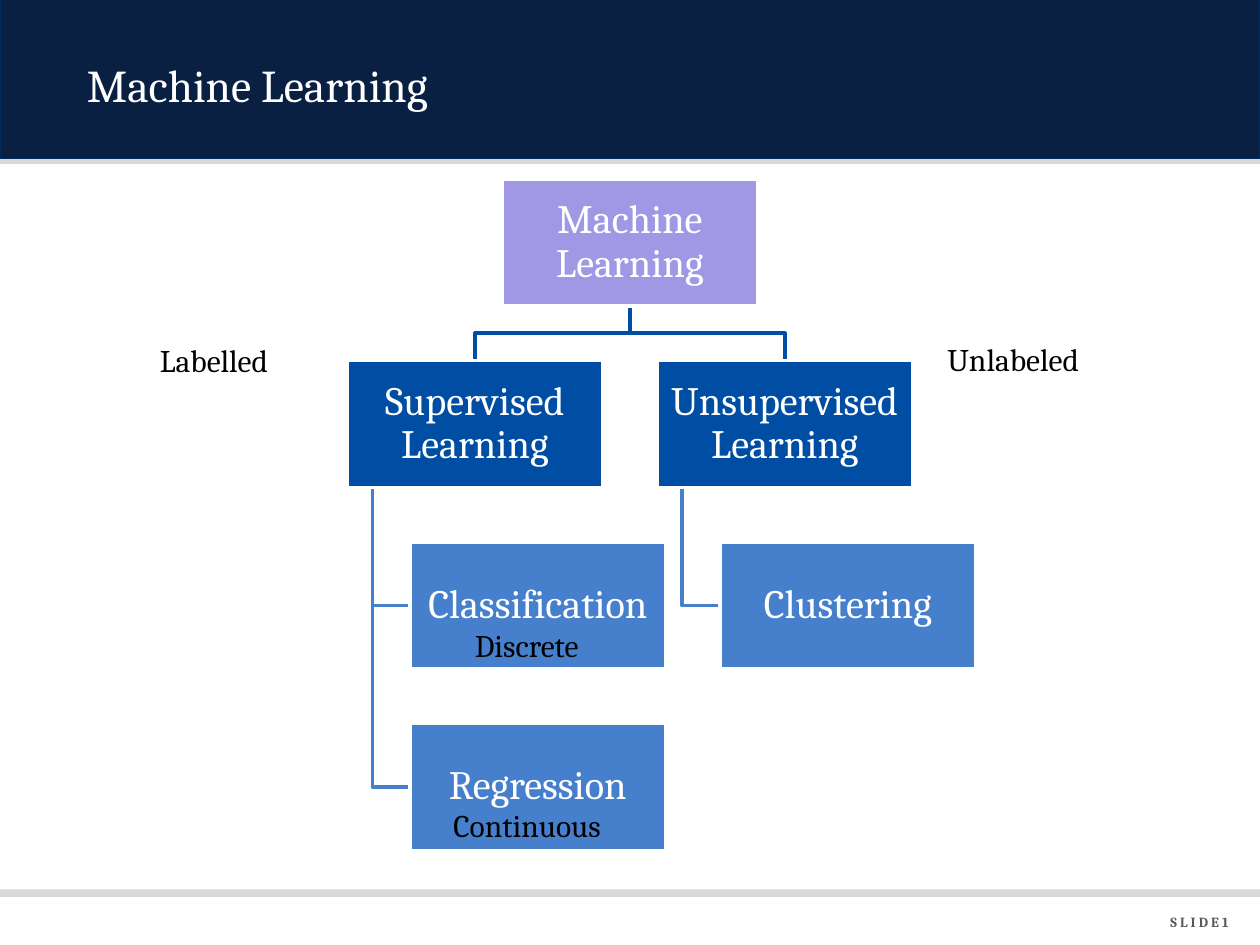
from pptx import Presentation
from pptx.dml.color import RGBColor
from pptx.enum.shapes import MSO_SHAPE
from pptx.enum.text import MSO_ANCHOR, PP_ALIGN
from pptx.util import Inches, Pt

RECTANGLE = MSO_SHAPE.RECTANGLE
MIDDLE, TOP = MSO_ANCHOR.MIDDLE, MSO_ANCHOR.TOP
LEFT, CENTER, RIGHT = PP_ALIGN.LEFT, PP_ALIGN.CENTER, PP_ALIGN.RIGHT

TITLE = "Machine Learning"
FOOTER = "S L I D E 1"
ROOT = "Machine Learning"
BRANCHES = [
    ("Supervised Learning", ["Classification", "Regression"]),
    ("Unsupervised Learning", ["Clustering"]),
]
NOTES = [  # text, left, top
    ("Labelled", 1.17, 2.66),
    ("Unlabeled", 7.42, 2.65),
    ("Continuous", 3.5, 6.35),
    ("Discrete", 3.67, 4.92),
]
BANDS = [  # left, top, width, height, fill, line
    (0, 1.05, 10, 0.25, "rule", None),
    (0, -0.01, 10, 1.27, "navy", "navy_edge"),
    (0, 7.06, 10, 0.06, "rule", None),
]

THEME = {
    "font": "Cambria",
    "colors": {
        "navy": "0A2043", "navy_edge": "002B5C", "rule": "DAD9D9",
        "root": "A098E4", "branch": "004DA4", "leaf": "467FCC",
        "white": "FFFFFF", "black": "000000", "gray": "585858",
    },
    "sizes": {"title": 26, "node": 23, "note": 18, "footer": 8},
}

# Tree geometry in inches
NODE_WIDTH, NODE_HEIGHT = 2.03, 1.01
ROW_STEP, COLUMN_STEP = 1.44, 2.46
TREE_CENTER, TREE_TOP = 5, 1.42
LEAF_INDENT, TRUNK_INDENT = 0.5, 0.2


def color(name):
    return RGBColor.from_string(THEME["colors"][name])


def write(shape, text, size, ink, align=LEFT, anchor=TOP, bold=False):
    frame = shape.text_frame
    frame.word_wrap = True
    frame.vertical_anchor = anchor
    para = frame.paragraphs[0]
    para.text = text
    para.alignment = align
    para.font.name = THEME["font"]
    para.font.size = Pt(THEME["sizes"][size])
    para.font.bold = bold
    para.font.color.rgb = color(ink)
    return frame


def add_box(slide, left, top, width, height, fill, line=None, weight=0.75):
    box = slide.shapes.add_shape(
        RECTANGLE, Inches(left), Inches(top), Inches(width), Inches(height))
    box.shadow.inherit = False
    box.fill.solid()
    box.fill.fore_color.rgb = color(fill)
    if line:
        box.line.color.rgb = color(line)
        box.line.width = Pt(weight)
    else:
        box.line.fill.background()
    return box


def add_label(slide, left, top, width, height, text, *style, **options):
    label = slide.shapes.add_textbox(
        Inches(left), Inches(top), Inches(width), Inches(height))
    write(label, text, *style, **options)


def add_elbow(slide, points, ink):
    start, *rest = [(Inches(x), Inches(y)) for x, y in points]
    builder = slide.shapes.build_freeform(*start)
    builder.add_line_segments(rest, close=False)
    elbow = builder.convert_to_shape()
    elbow.shadow.inherit = False
    elbow.fill.background()
    elbow.line.color.rgb = color(ink)
    elbow.line.width = Pt(2)


def add_node(slide, left, top, text, fill):
    node = add_box(slide, left, top, NODE_WIDTH, NODE_HEIGHT, fill, "white", 2)
    frame = write(node, text, "node", "white", CENTER, MIDDLE)
    frame.margin_left = frame.margin_right = Inches(0.02)
    frame.margin_top = frame.margin_bottom = Inches(0.02)
    frame.paragraphs[0].line_spacing = 0.9


def add_tree(slide):
    """Draw all elbows first, so that the nodes lie over their ends."""
    nodes = [(TREE_CENTER - NODE_WIDTH / 2, TREE_TOP, ROOT, "root")]
    root_bottom = TREE_TOP + NODE_HEIGHT
    branch_top = TREE_TOP + ROW_STEP
    branch_bottom = branch_top + NODE_HEIGHT
    bar = (root_bottom + branch_top) / 2
    for column, (branch, leaves) in enumerate(BRANCHES):
        center = TREE_CENTER + (column - (len(BRANCHES) - 1) / 2) * COLUMN_STEP
        left = center - NODE_WIDTH / 2
        add_elbow(slide, [(TREE_CENTER, root_bottom), (TREE_CENTER, bar),
                          (center, bar), (center, branch_top)], "branch")
        nodes.append((left, branch_top, branch, "branch"))
        trunk, leaf_left = left + TRUNK_INDENT, left + LEAF_INDENT
        for row, leaf in enumerate(leaves, 1):
            leaf_top = branch_top + row * ROW_STEP
            middle = leaf_top + NODE_HEIGHT / 2
            add_elbow(slide, [(trunk, branch_bottom), (trunk, middle),
                              (leaf_left, middle)], "leaf")
            nodes.append((leaf_left, leaf_top, leaf, "leaf"))
    for node in nodes:
        add_node(slide, *node)


def main():
    deck = Presentation()
    deck.slide_width, deck.slide_height = Inches(10), Inches(7.5)
    slide = deck.slides.add_slide(deck.slide_layouts[5])
    for band in BANDS:
        add_box(slide, *band)
    add_label(slide, 8.43, 7.2, 1.42, 0.23, FOOTER, "footer", "gray",
              align=RIGHT, bold=True)

    title = slide.shapes.title
    title.left, title.top = Inches(0.59), Inches(0.17)
    title.width, title.height = Inches(8.9), Inches(1)
    write(title, TITLE, "title", "white", anchor=MIDDLE)
    title.element.getparent().append(title.element)  # above the header band

    add_tree(slide)
    for text, left, top in NOTES:
        add_label(slide, left, top, 1.75, 0.4, text, "note", "black")
    deck.save("out.pptx")


if __name__ == "__main__":
    main()
